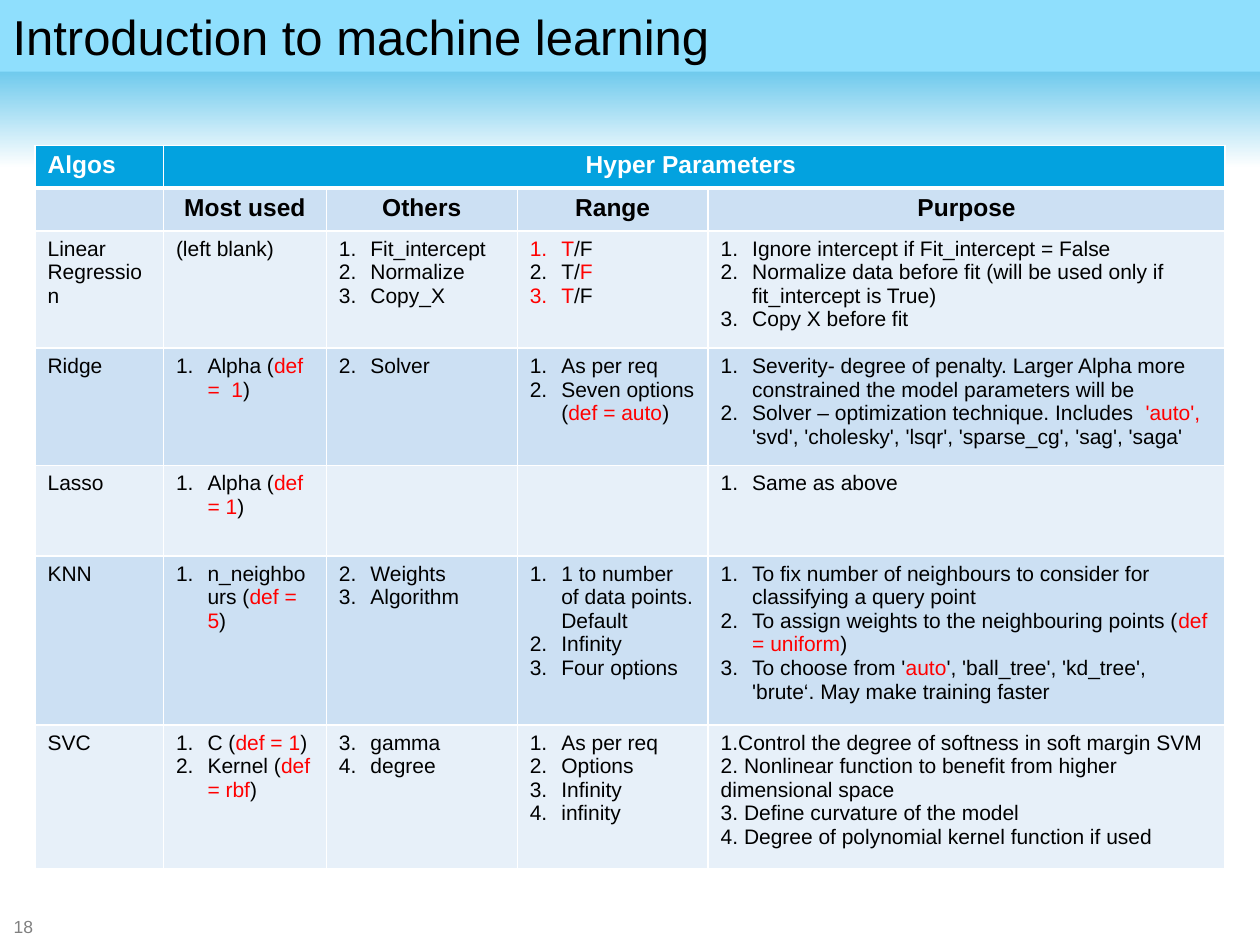
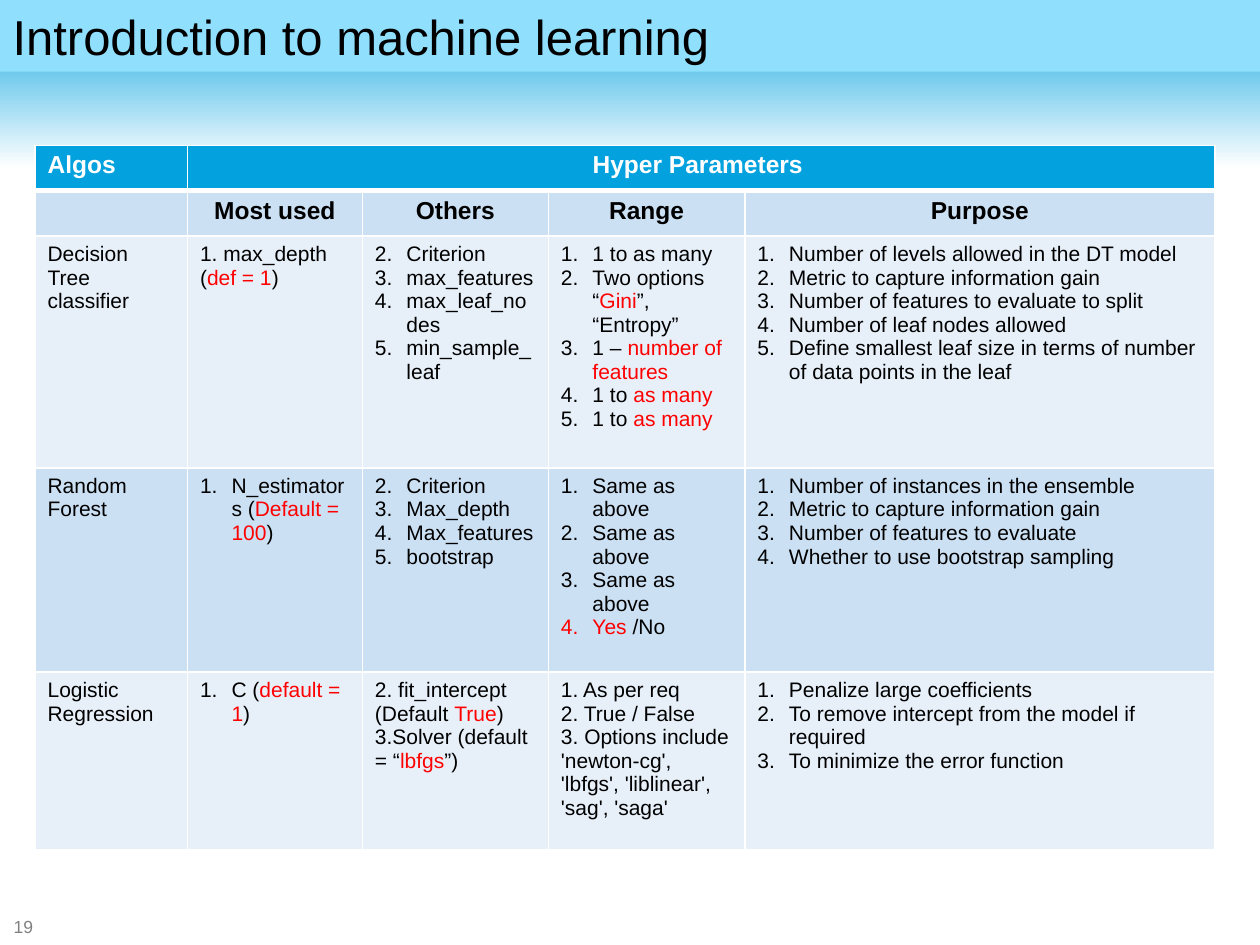
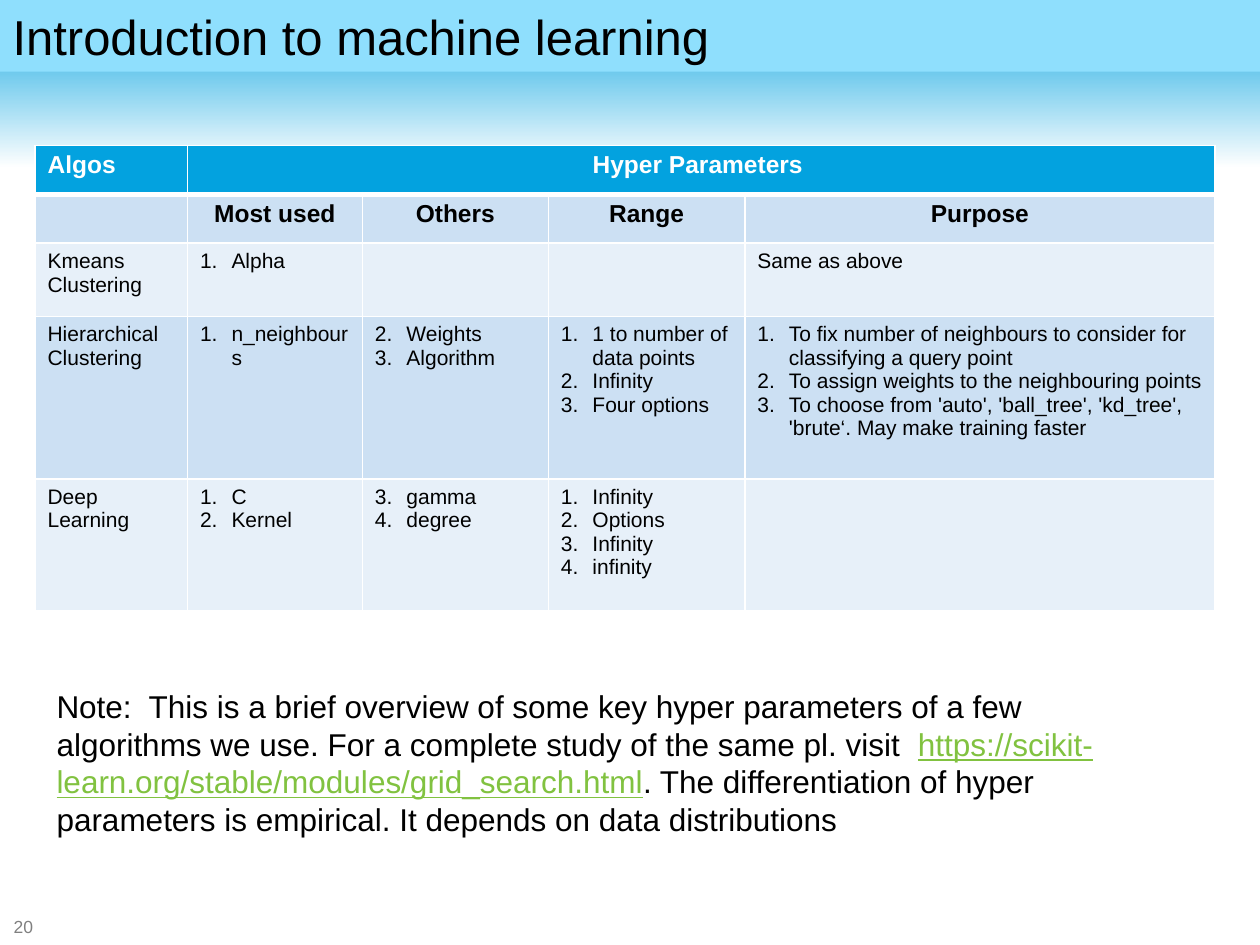
import pptx
import pptx.dml.color
import pptx.enum.shapes
import pptx.enum.text
import pptx.oxml.ns
import pptx.util
from lxml import etree

Pt = pptx.util.Pt
RGBColor = pptx.dml.color.RGBColor
qn = pptx.oxml.ns.qn
PP_ALIGN = pptx.enum.text.PP_ALIGN
MSO_ANCHOR = pptx.enum.text.MSO_ANCHOR

# Shared look
FONT = "Arial"
BLACK = RGBColor(0x00, 0x00, 0x00)
WHITE = RGBColor(0xFF, 0xFF, 0xFF)
RED = RGBColor(0xFF, 0x00, 0x00)
GREY = RGBColor(0x80, 0x80, 0x80)
LINK_GREEN = RGBColor(0x81, 0xC2, 0x40)
HEADER_BLUE = RGBColor(0x03, 0xA2, 0xDF)
TITLE_BLUE = RGBColor(0x8F, 0xDF, 0xFD)
ROW_DARK = RGBColor(0xCC, 0xE0, 0xF3)
ROW_LIGHT = RGBColor(0xE7, 0xF0, 0xF9)
TITLE = "Introduction to machine learning"
FIRST_PAGE_NUMBER = 18
TABLE_LEFT, TABLE_TOP = 20, 83
NUMBER_INDENT = Pt(18)

# Table content: a leading "2#" numbers the lines from 2, and |...| is red
HEADINGS = [
    ["Algos", "Hyper Parameters ", "", "", ""],
    ["", "Most used", "Others", "Range", "Purpose"],
]
NARROW_COLUMNS = [73.4, 93.1, 109.1, 109.1, 295.4]
WIDE_COLUMNS = [87.1, 100, 106.3, 112.3, 268.6]

regression_rows = [
    ["Linear Regression",
     "(left blank)",
     "1#Fit_intercept\nNormalize\nCopy_X",
     "1#|T|/F\nT/|F|\n|T|/F",
     "1#Ignore intercept if Fit_intercept = False\n"
     "Normalize data before fit (will be used only if fit_intercept is True)\n"
     "Copy X before fit"],
    ["Ridge",
     "1#Alpha (|def =  1|)",
     "2#Solver",
     "1#As per req\nSeven options (|def = auto|)",
     "1#Severity- degree of penalty. Larger Alpha more constrained "
     "the model parameters will be\n"
     "Solver – optimization technique. Includes  |'auto', |"
     "'svd', 'cholesky', 'lsqr', 'sparse_cg', 'sag', 'saga'"],
    ["Lasso", "1#Alpha (|def = 1|)", "", "", "1#Same as above"],
    ["KNN",
     "1#n_neighbours (|def = 5|)",
     "2#Weights\nAlgorithm",
     "1#1 to number of data points. Default\nInfinity\nFour options",
     "1#To fix number of neighbours to consider for classifying a query point\n"
     "To assign weights to the neighbouring points (|def = uniform|)\n"
     "To choose from '|auto|', 'ball_tree', 'kd_tree', 'brute‘. "
     "May make training faster"],
    ["SVC",
     "1#C (|def = 1|)\nKernel (|def = rbf|)",
     "3#gamma\ndegree",
     "1#As per req\nOptions\nInfinity\ninfinity",
     "1.Control the degree of softness in soft margin SVM\n"
     "2. Nonlinear function to benefit from higher dimensional space\n"
     "3. Define curvature of the model\n"
     "4. Degree of polynomial kernel function if used"],
]

tree_rows = [
    ["Decision Tree classifier",
     "1. max_depth (|def = 1|)",
     "2#Criterion\nmax_features\nmax_leaf_nodes\nmin_sample_leaf",
     "1#1 to as many\nTwo options “|Gini|”, “Entropy”\n1 – |number of features|\n"
     "1 to |as many|\n1 to |as many|",
     "1#Number of levels allowed in the DT model\n"
     "Metric to capture information gain\n"
     "Number of features to evaluate to split\n"
     "Number of leaf nodes allowed\n"
     "Define smallest leaf size in terms of number of data points in the leaf"],
    ["Random Forest",
     "1#N_estimators (|Default = 100|)",
     "2#Criterion\nMax_depth\nMax_features\nbootstrap",
     "1#Same as above\nSame as above\nSame as above\n|Yes| /No",
     "1#Number of instances in the ensemble\n"
     "Metric to capture information gain\n"
     "Number of features to evaluate\n"
     "Whether to use bootstrap sampling"],
    ["Logistic Regression",
     "1#C (|default = 1|)",
     "2. fit_intercept (Default |True|)\n3.Solver (default = “|lbfgs|”)",
     "1. As per req\n2. True / False\n"
     "3. Options include 'newton-cg', 'lbfgs', 'liblinear', 'sag', 'saga'",
     "1#Penalize large coefficients\n"
     "To remove intercept from the model if required\n"
     "To minimize the error function"],
]

clustering_rows = [
    ["Kmeans Clustering", "1#Alpha", "", "", "Same as above"],
    ["Hierarchical Clustering",
     "1#n_neighbours",
     "2#Weights\nAlgorithm",
     "1#1 to number of data points\nInfinity\nFour options",
     "1#To fix number of neighbours to consider for classifying a query point\n"
     "To assign weights to the neighbouring points\n"
     "To choose from 'auto', 'ball_tree', 'kd_tree', 'brute‘. "
     "May make training faster"],
    ["Deep Learning",
     "1#C\nKernel",
     "3#gamma\ndegree",
     "1#Infinity\nOptions\nInfinity\ninfinity",
     ""],
]

# Column widths, row heights and body rows of each slide's table
TABLES = [
    (NARROW_COLUMNS, [24.5, 24.5, 67, 67, 51.8, 96.5, 82], regression_rows),
    (WIDE_COLUMNS, [26, 26, 132.5, 116.6, 101.5], tree_rows),
    (WIDE_COLUMNS, [28, 28, 41.8, 92.9, 75.6], clustering_rows),
]


def add_span(para, text, size, color, bold=False):
    span = para.add_run()
    span.text = text
    span.font.name = FONT
    span.font.size = Pt(size)
    span.font.color.rgb = color
    span.font.bold = bold
    return span


def fill_cell(cell, text, size, color, bold):
    start, mark, body = text.rpartition("#")
    for index, line in enumerate(body.split("\n")):
        frame = cell.text_frame
        para = frame.add_paragraph() if index else frame.paragraphs[0]
        if mark:
            properties = para._p.get_or_add_pPr()
            properties.set("marL", str(NUMBER_INDENT))
            properties.set("indent", str(-NUMBER_INDENT))
            etree.SubElement(properties, qn("a:buAutoNum"),
                             type="arabicPeriod", startAt=start)
        for position, part in enumerate(line.split("|")):
            if part:
                add_span(para, part, size, RED if position % 2 else color, bold)
        if not line:
            etree.SubElement(para._p, qn("a:endParaRPr"), sz=str(size * 100))


deck = pptx.Presentation()
deck.slide_width, deck.slide_height = Pt(720), Pt(540)

for page_index, (widths, heights, body_rows) in enumerate(TABLES):
    page = deck.slides.add_slide(deck.slide_layouts[5])

    # Title bar
    title = page.shapes.title
    title.left, title.top, title.width, title.height = 0, 0, Pt(720), Pt(41)
    title.fill.solid()
    title.fill.fore_color.rgb = TITLE_BLUE
    title.text_frame.auto_size = pptx.enum.text.MSO_AUTO_SIZE.NONE
    title.text_frame.vertical_anchor = MSO_ANCHOR.TOP
    title.text_frame.paragraphs[0].alignment = PP_ALIGN.LEFT
    add_span(title.text_frame.paragraphs[0], TITLE, 28, BLACK)

    # Fading band behind the title
    band = page.shapes.add_shape(pptx.enum.shapes.MSO_SHAPE.RECTANGLE,
                                 0, 0, Pt(720), Pt(96))
    band.shadow.inherit = False
    band.line.fill.background()
    band.fill.gradient()
    band.fill.gradient_angle = 270
    for stop, color in zip(band.fill.gradient_stops, (HEADER_BLUE, WHITE)):
        stop.color.rgb = color
    band.fill.gradient_stops[0].position = 0
    band.fill.gradient_stops[1].position = 1
    title._element.addprevious(band._element)

    # Page number
    number_box = page.shapes.add_textbox(Pt(0.7), Pt(523.5), Pt(28), Pt(11.5))
    number_box.text_frame.margin_top = number_box.text_frame.margin_bottom = 0
    number_box.text_frame.vertical_anchor = MSO_ANCHOR.MIDDLE
    add_span(number_box.text_frame.paragraphs[0],
             str(FIRST_PAGE_NUMBER + page_index), 10, GREY)

    # Hyperparameter table
    rows = HEADINGS + body_rows
    table = page.shapes.add_table(len(rows), len(widths), Pt(TABLE_LEFT), Pt(TABLE_TOP),
                                  Pt(sum(widths)), Pt(sum(heights))).table
    table.first_row = table.horz_banding = False
    for column, width in zip(table.columns, widths):
        column.width = Pt(width)
    for row, height in zip(table.rows, heights):
        row.height = Pt(height)
    table.cell(0, 1).merge(table.cell(0, 4))

    for row_index, texts in enumerate(rows):
        is_heading = row_index < len(HEADINGS)
        for column_index, text in enumerate(texts):
            cell = table.cell(row_index, column_index)
            fill_cell(cell, text, 14 if is_heading else 12,
                      WHITE if row_index == 0 else BLACK, is_heading)
            if is_heading and column_index:
                cell.text_frame.paragraphs[0].alignment = PP_ALIGN.CENTER

            # White borders, thick below the top row
            for side in ("lnL", "lnR", "lnT", "lnB"):
                thick = (row_index, side) in ((0, "lnB"), (1, "lnT"))
                border = etree.SubElement(cell._tc.get_or_add_tcPr(), qn("a:" + side),
                                          w=str(Pt(3 if thick else 1)))
                paint = etree.SubElement(border, qn("a:solidFill"))
                etree.SubElement(paint, qn("a:srgbClr"), val=str(WHITE))
            cell.fill.solid()
            if row_index == 0:
                cell.fill.fore_color.rgb = HEADER_BLUE
            else:
                cell.fill.fore_color.rgb = ROW_DARK if row_index % 2 else ROW_LIGHT

# Closing note on the last slide
note_box = page.shapes.add_textbox(Pt(25.2), Pt(389), Pt(652), Pt(94))
note_box.text_frame.word_wrap = True
note = note_box.text_frame.paragraphs[0]
add_span(note, "Note:  This is a brief overview of some key hyper parameters of a few "
               "algorithms we use. For a complete study of the same pl. visit  ", 18, BLACK)
address = add_span(note, "https://scikit-learn.org/stable/modules/grid_search.html",
                   18, LINK_GREEN)
address.font.underline = True
add_span(note, ". The differentiation of hyper parameters is empirical. "
               "It depends on data distributions", 18, BLACK)

deck.save("out.pptx")
